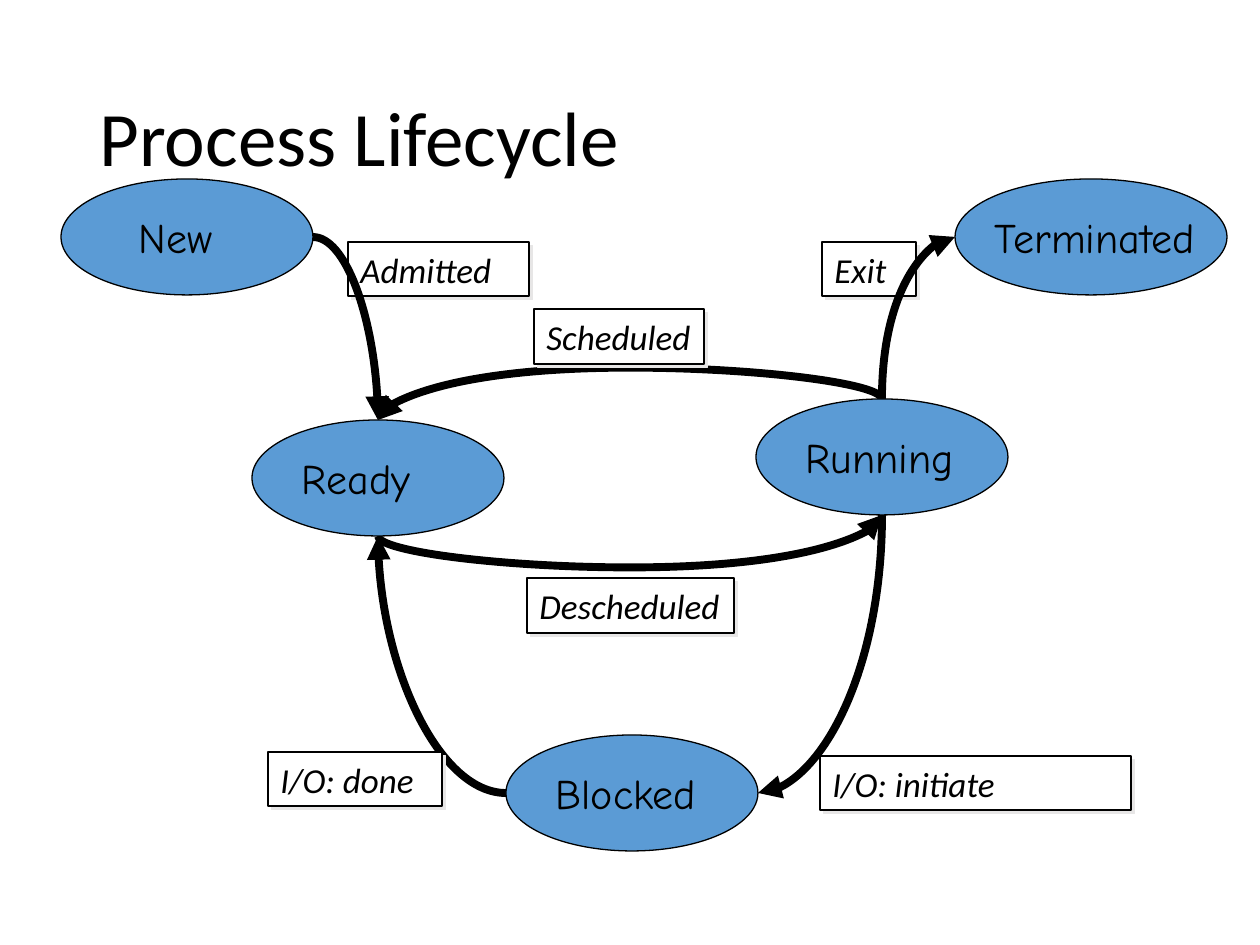
from dataclasses import dataclass

import pptx
import pptx.dml.color
import pptx.enum.shapes
import pptx.enum.text
import pptx.oxml
import pptx.oxml.ns
import pptx.util

SCALE = 914400 / 126  # EMU in one px
LEFT = pptx.enum.text.PP_ALIGN.LEFT
MIDDLE = pptx.enum.text.MSO_ANCHOR.MIDDLE
TOP = pptx.enum.text.MSO_ANCHOR.TOP
SHAPE = pptx.enum.shapes.MSO_SHAPE
NS = pptx.oxml.ns.nsdecls("a")

Point = tuple[int, int]


@dataclass
class Node:
    text: str
    x: int
    y: int
    w: int = 252
    h: int = 116
    inset: int = 13

    def side(self, name: str) -> Point:
        mid, row = self.x + self.w // 2, self.y + self.h // 2
        return {"top": (mid, self.y), "bottom": (mid, self.y + self.h),
                "left": (self.x, row), "right": (self.x + self.w, row)}[name]


@dataclass
class Label:
    text: str
    x: int
    y: int
    w: int
    h: int = 54
    wrap: bool = False


@dataclass
class Arrow:
    start: Point
    end: Point
    turn: int = 0
    flip: bool = False
    bend: int | None = None  # set for a curve that leaves and arrives upright


@dataclass
class Move:
    label: Label
    arrow: Arrow
    under: bool = False  # label lies under its arrow


def px(num: float) -> pptx.util.Emu:
    return pptx.util.Emu(round(num * SCALE))


def rgb(code: str) -> pptx.dml.color.RGBColor:
    return pptx.dml.color.RGBColor.from_string(code)


def style(para, face: str, size: int, slant: bool = False) -> None:
    para.alignment = LEFT
    font = para.font
    font.name, font.size, font.italic = face, pptx.util.Pt(size), slant
    font.color.rgb = rgb("000000")


def add_box(slide, kind, item: Node | Label, fill: str):
    box = slide.shapes.add_shape(kind, px(item.x), px(item.y), px(item.w), px(item.h))
    box.shadow.inherit = False
    box.fill.solid()
    box.fill.fore_color.rgb = rgb(fill)
    box.line.color.rgb = rgb("000000")
    box.line.width = pptx.util.Pt(0.75)
    box.text_frame.text = item.text
    return box


def add_node(slide, node: Node) -> None:
    frame = add_box(slide, SHAPE.OVAL, node, "5B9BD5").text_frame
    frame.word_wrap = False
    frame.vertical_anchor = MIDDLE
    frame.margin_left = px(node.inset)
    style(frame.paragraphs[0], "Comic Neue", 24)


def add_label(slide, label: Label) -> None:
    box = add_box(slide, SHAPE.RECTANGLE, label, "FFFFFF")
    frame = box.text_frame
    frame.word_wrap = label.wrap
    frame.auto_size = pptx.enum.text.MSO_AUTO_SIZE.SHAPE_TO_FIT_TEXT
    frame.vertical_anchor = TOP
    style(frame.paragraphs[0], "Calibri", 20, True)
    # Hard shadow to the lower right
    effect = box._element.spPr.find(pptx.oxml.ns.qn("a:effectLst"))
    effect.append(pptx.oxml.parse_xml(
        f'<a:outerShdw {NS} dist="35560" dir="2700000" algn="ctr" rotWithShape="0">'
        '<a:srgbClr val="E7E6E6"/></a:outerShdw>'))


def add_arrow(slide, arrow: Arrow) -> None:
    (x1, y1), (x2, y2) = arrow.start, arrow.end
    wide, high = abs(x2 - x1), abs(y2 - y1)
    if arrow.turn in (90, 270):
        wide, high = high, wide
    left, top = (x1 + x2 - wide) / 2, (y1 + y2 - high) / 2
    line = slide.shapes.add_connector(
        pptx.enum.shapes.MSO_CONNECTOR.CURVE,
        px(left), px(top), px(left + wide), px(top + high))
    line.line.color.rgb = rgb("000000")
    line.line.width = pptx.util.Pt(4.5)
    # Turn, bend and arrowhead
    props = line._element.spPr
    frame = props.find(pptx.oxml.ns.qn("a:xfrm"))
    frame.set("rot", str(arrow.turn * 60000))
    if arrow.flip:
        frame.set("flipH", "1")
        frame.set("flipV", "1")
    shape = props.find(pptx.oxml.ns.qn("a:prstGeom"))
    if arrow.bend is None:
        shape.set("prst", "curvedConnector2")
    else:
        for old in list(shape):
            shape.remove(old)
        shape.append(pptx.oxml.parse_xml(
            f'<a:avLst {NS}><a:gd name="adj1" fmla="val {arrow.bend}"/></a:avLst>'))
    props.find(pptx.oxml.ns.qn("a:ln")).append(
        pptx.oxml.parse_xml(f'<a:tailEnd {NS} type="triangle"/>'))
    props.append(pptx.oxml.parse_xml(f'<a:effectLst {NS}/>'))


def add_move(slide, move: Move) -> None:
    if move.under:
        add_label(slide, move.label)
    add_arrow(slide, move.arrow)
    if not move.under:
        add_label(slide, move.label)


def add_title(slide, text: str) -> None:
    title = slide.shapes.title
    title.left, title.top, title.width, title.height = map(px, (87, 50, 1086, 183))
    title.text_frame.text = text
    title.text_frame.vertical_anchor = MIDDLE
    para = title.text_frame.paragraphs[0]
    para.line_spacing = 0.9
    style(para, "Calibri", 44)


# States of a process
NEW = Node("New", 61, 179, inset=41)
READY = Node("Ready", 252, 420)
RUN = Node("Running", 756, 399)
END = Node("Terminated", 955, 179, w=272, inset=0)
BLOCK = Node("Blocked", 506, 735)

# Moves between the states
MOVES = [
    Move(Label("Admitted", 348, 242, 181),
         Arrow(NEW.side("right"), READY.side("top")), under=True),
    Move(Label("Exit", 822, 242, 94),
         Arrow(RUN.side("top"), END.side("left"), 90, True), under=True),
    Move(Label("I/O: done", 268, 752, 174, wrap=True),
         Arrow(BLOCK.side("left"), READY.side("bottom"), 180)),
    Move(Label("Descheduled", 527, 578, 207, 55),
         Arrow(READY.side("bottom"), RUN.side("bottom"), 90, True, -150000)),
    Move(Label("I/O: initiate", 820, 756, 311, wrap=True),
         Arrow(RUN.side("bottom"), BLOCK.side("right"), 90)),
    Move(Label("Scheduled", 534, 309, 170, 55),
         Arrow(RUN.side("top"), READY.side("top"), 270, True, -150000)),
]


def main() -> None:
    deck = pptx.Presentation()
    deck.slide_width, deck.slide_height = px(1260), px(945)
    slide = deck.slides.add_slide(deck.slide_layouts[5])
    add_title(slide, "Process Lifecycle")
    for move in MOVES:
        add_move(slide, move)
    for node in (NEW, READY, RUN, END, BLOCK):
        add_node(slide, node)
    deck.save("out.pptx")


if __name__ == "__main__":
    main()
